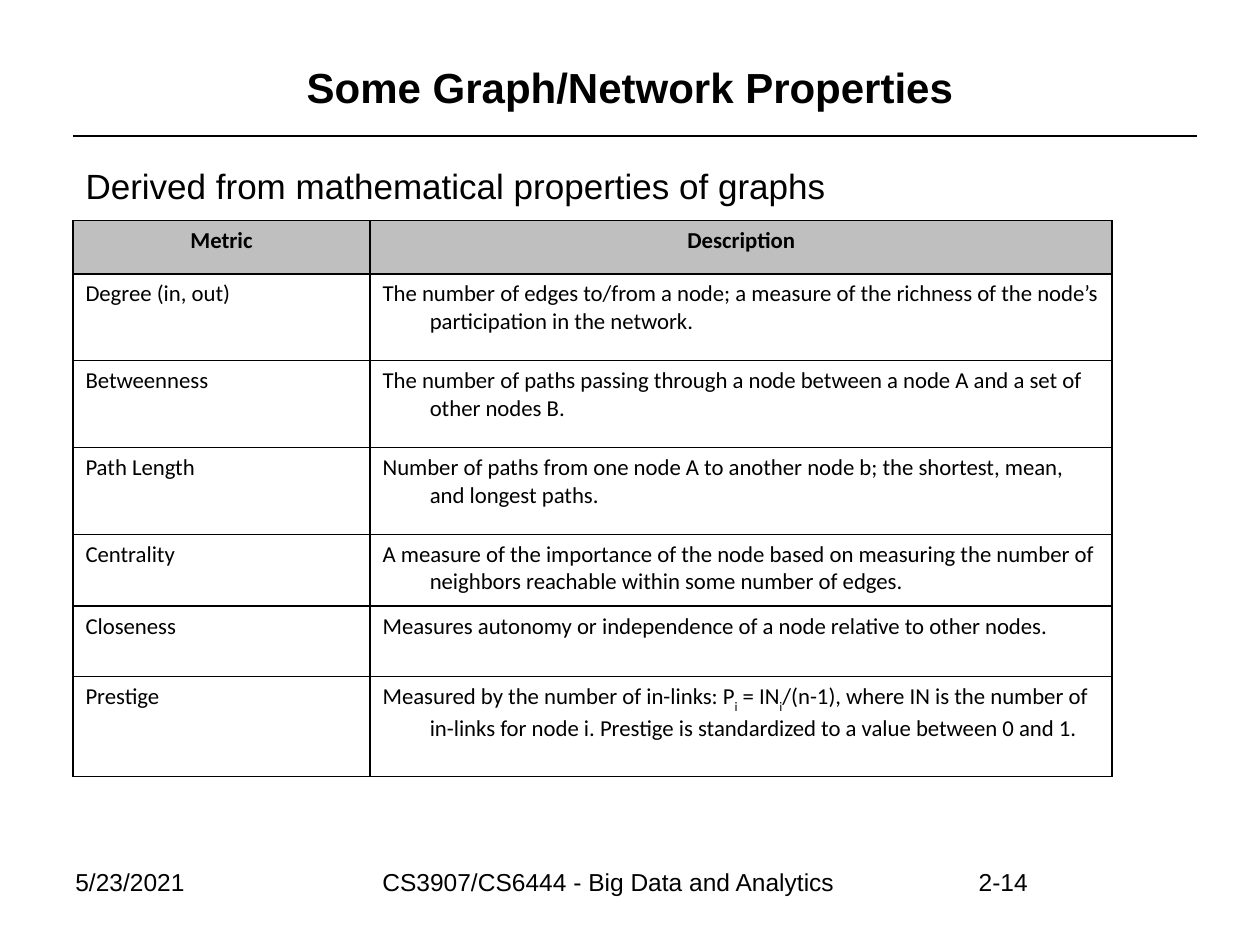
from lxml import etree
from pptx import Presentation
from pptx import util as u
from pptx.dml.color import RGBColor
from pptx.enum import shapes, text
from pptx.oxml import ns

BLACK, GREY = "000000", "BFBFBF"
HANG = u.Cm(0.95)
METRICS = [
    ("Metric", "Description", 1.07),
    ("Degree (in, out)", "The number of edges to/from a node; a measure of the richness "
     "of the node’s participation in the network.", 1.75),
    ("Betweenness", "The number of paths passing through a node between a node A "
     "and a set of other nodes B.", 1.75),
    ("Path Length", "Number of paths from one node A to another node b; the shortest, "
     "mean, and longest paths.", 1.75),
    ("Centrality", "A measure of the importance of the node based on measuring the "
     "number of neighbors reachable within some number of edges.", 1.45),
    ("Closeness", "Measures autonomy or independence of a node relative to other nodes.", 1.42),
    ("Prestige", "Measured by the number of in-links: P|i| = IN|i|/(n-1), where IN is the "
     "number of in-links for node i. Prestige is standardized to a value between 0 and 1.", 2.01),
]


def rgb(value):
    """Turn a hex string into a colour."""
    return RGBColor.from_string(value)


def style(paragraph, size, face="Arial", bold=False, align=text.PP_ALIGN.LEFT):
    """Format a paragraph and all of its runs."""
    paragraph.alignment = align
    for run in paragraph.runs:
        run.font.size, run.font.name, run.font.bold = u.Pt(size), face, bold
        run.font.color.rgb = rgb(BLACK)


def place(shape, left, top, width, height):
    """Move a shape to a box given in centimetres."""
    shape.left, shape.top = u.Cm(left), u.Cm(top)
    shape.width, shape.height = u.Cm(width), u.Cm(height)


def add_heading(slide, left, top, width, height):
    """Fill the title and draw the rule along its lower edge."""
    title = slide.shapes.title
    place(title, left, top, width, height)
    title.text_frame.text = "Some Graph/Network Properties"
    title.text_frame.auto_size = text.MSO_AUTO_SIZE.NONE
    title.text_frame.vertical_anchor = text.MSO_ANCHOR.MIDDLE
    style(title.text_frame.paragraphs[0], 24, bold=True, align=text.PP_ALIGN.CENTER)
    base = u.Cm(top + height)
    rule = slide.shapes.add_connector(
        shapes.MSO_CONNECTOR.STRAIGHT, u.Cm(left + 0.2), base, u.Cm(left + width), base)
    rule.line.color.rgb = rgb(BLACK)
    rule.line.width = u.Pt(0.75)
    etree.SubElement(rule._element.spPr, ns.qn("a:effectLst"))


def add_lead(slide, left, top, width, height):
    """Fill the body with one unbulleted line."""
    lead = slide.placeholders[1]
    place(lead, left, top, width, height)
    lead.text_frame.text = "Derived from mathematical properties of graphs"
    lead.text_frame.auto_size = text.MSO_AUTO_SIZE.NONE
    line = lead.text_frame.paragraphs[0]
    properties = line._p.get_or_add_pPr()
    properties.set("marL", "0")
    properties.set("indent", "0")
    etree.SubElement(properties, ns.qn("a:buNone"))
    line.space_before = u.Pt(0)
    style(line, 20)


def add_borders(cell):
    """Give a cell a thin black line on each side."""
    properties = cell._tc.get_or_add_tcPr()
    for side in ("lnL", "lnR", "lnT", "lnB"):
        edge = etree.SubElement(properties, ns.qn(f"a:{side}"), w=str(u.Pt(1)))
        fill = etree.SubElement(edge, ns.qn("a:solidFill"))
        etree.SubElement(fill, ns.qn("a:srgbClr"), val=BLACK)


def fill_cell(cell, wording, is_header):
    """Write a cell; every second part between bars is a subscript."""
    add_borders(cell)
    if is_header:
        cell.fill.solid()
        cell.fill.fore_color.rgb = rgb(GREY)
    else:
        cell.fill.background()
    entry = cell.text_frame.paragraphs[0]
    properties = entry._p.get_or_add_pPr()
    properties.set("marL", str(HANG))
    properties.set("indent", str(-HANG))
    for index, part in enumerate(wording.split("|")):
        run = entry.add_run()
        run.text = part
        if index % 2:
            run._r.get_or_add_rPr().set("baseline", "-30000")
    align = text.PP_ALIGN.CENTER if is_header else text.PP_ALIGN.LEFT
    style(entry, 13, "Calibri", is_header, align)


def add_metrics(slide, left, top, width):
    """Build the table of metrics and their descriptions."""
    heights = [height for _, _, height in METRICS]
    metrics = slide.shapes.add_table(
        len(METRICS), 2, u.Cm(left), u.Cm(top), u.Cm(width), u.Cm(sum(heights))).table
    metrics.first_row = metrics.horz_banding = False
    name_width = 5.99
    metrics.columns[0].width = u.Cm(name_width)
    metrics.columns[1].width = u.Cm(width - name_width)
    for row, (name, description, height) in enumerate(METRICS):
        metrics.rows[row].height = u.Cm(height)
        for column, wording in enumerate((name, description)):
            fill_cell(metrics.cell(row, column), wording, row == 0)


def add_footer(slide, left, top, height):
    """Place the date, the course and the page number on one line."""
    parts = [
        ("5/23/2021", 0, 3.81, text.PP_ALIGN.LEFT),
        ("CS3907/CS6444 - Big Data and Analytics", 4.01, 13.97, text.PP_ALIGN.CENTER),
        ("2-14", 18.21, 2.74, text.PP_ALIGN.LEFT),
    ]
    for wording, offset, width, align in parts:
        note = slide.shapes.add_textbox(
            u.Cm(left + offset), u.Cm(top), u.Cm(width), u.Cm(height))
        note.text_frame.word_wrap = True
        note.text_frame.text = wording
        style(note.text_frame.paragraphs[0], 14, align=align)


def main():
    """Build and save the slide."""
    deck = Presentation()
    deck.slide_width, deck.slide_height = u.Cm(25.4), u.Cm(19.05)
    slide = deck.slides.add_slide(deck.slide_layouts[1])
    add_heading(slide, 1.27, 0.76, 22.86, 1.98)
    add_lead(slide, 1.47, 3.18, 22.66, 1.27)
    add_metrics(slide, 1.47, 4.45, 20.95)
    add_footer(slide, 1.27, 17.35, 1.32)
    deck.save("out.pptx")


if __name__ == "__main__":
    main()
